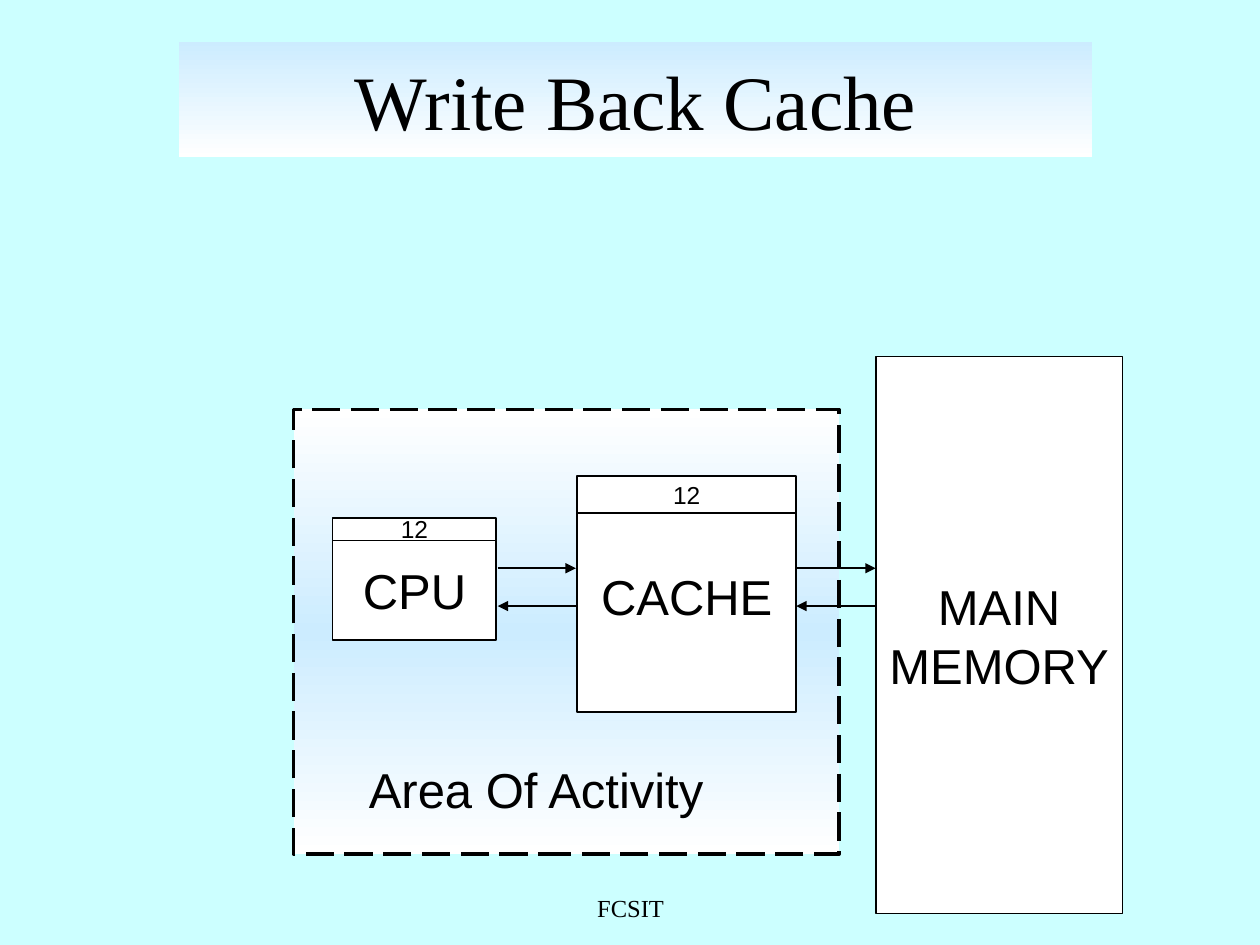
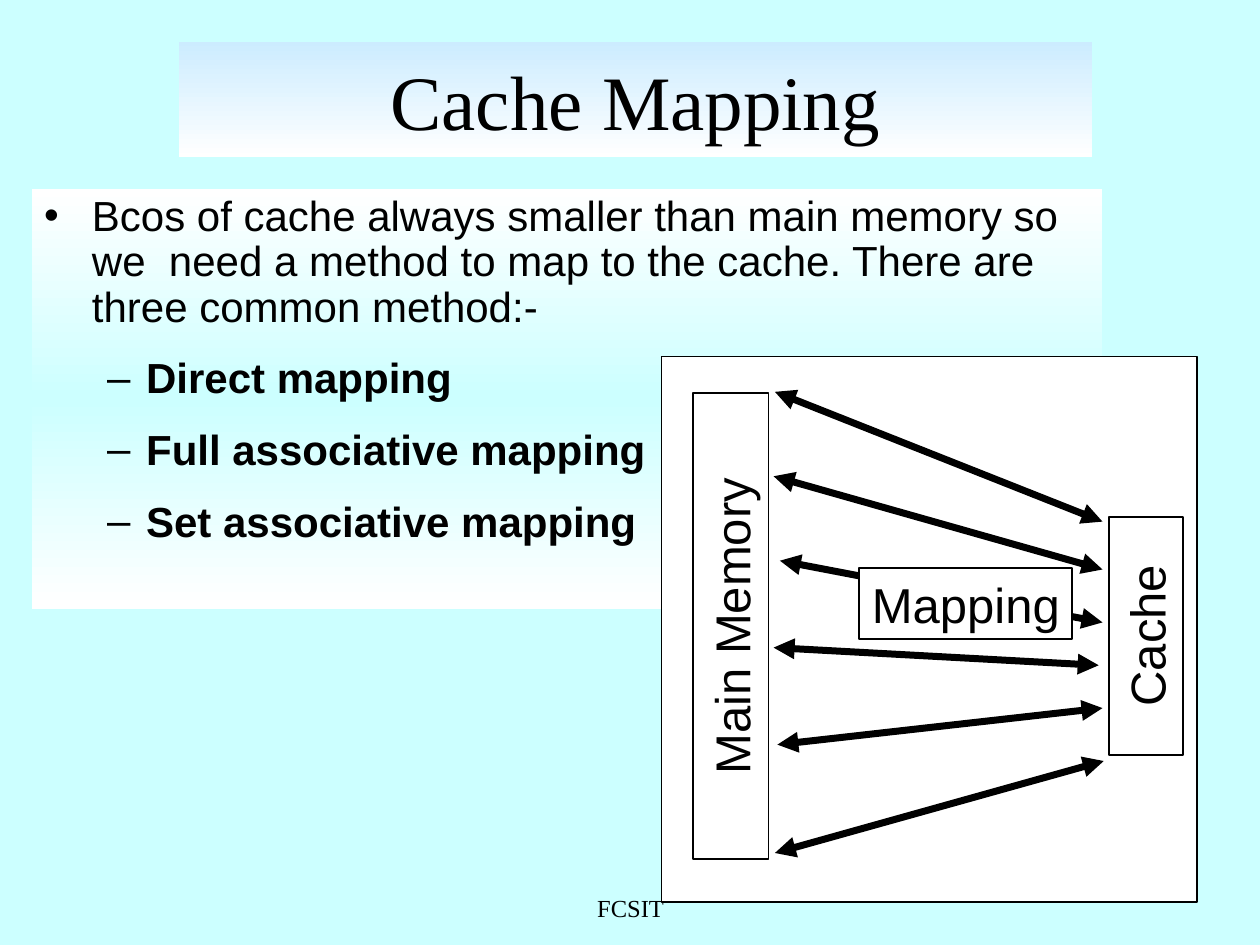
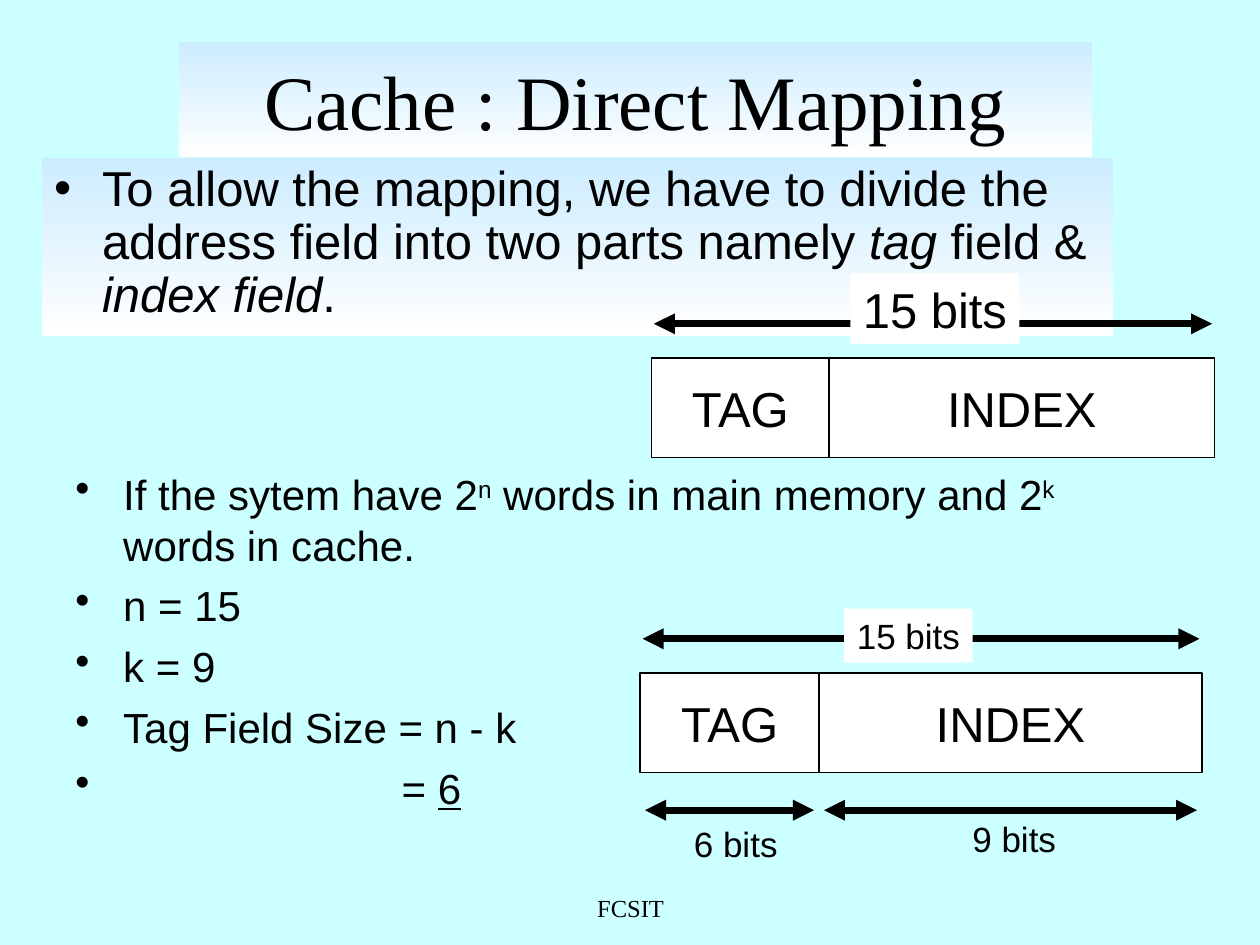
from copy import deepcopy

from lxml.etree import SubElement
from pptx import Presentation
from pptx.dml.color import RGBColor
from pptx.enum.dml import MSO_LINE
from pptx.enum.shapes import MSO_CONNECTOR, MSO_SHAPE
from pptx.enum.text import MSO_ANCHOR, MSO_AUTO_SIZE, PP_ALIGN
from pptx.oxml.ns import qn
from pptx.util import Inches, Pt

BLACK = RGBColor(0x00, 0x00, 0x00)
WHITE = RGBColor(0xFF, 0xFF, 0xFF)
AQUA = RGBColor(0xCC, 0xFF, 0xFF)
SKY = RGBColor(0xCC, 0xEC, 0xFF)

SANS = "Arial"
SERIF = "Times New Roman"
TITLE_AREA = (1.42, 0.33, 7.25, 0.92)
FOOTER_AREA = (3.42, 7.08, 3.17, 0.25)
FOOTER = "FCSIT"
TITLE_ONLY, TITLE_AND_BODY = 5, 1

FRAME = {
    "margin_left": Inches(0.1), "margin_right": Inches(0.1),
    "margin_top": Inches(0.05), "margin_bottom": Inches(0.05),
    "auto_size": MSO_AUTO_SIZE.NONE,
}
LABEL_FRAME = {**FRAME, "word_wrap": False, "vertical_anchor": MSO_ANCHOR.MIDDLE}
LIST_FRAME = {**FRAME, "word_wrap": True, "vertical_anchor": MSO_ANCHOR.TOP}
ITALIC, BOLD, UNDERLINE = {"italic": True}, {"bold": True}, {"underline": True}
SUPERSCRIPT = {"baseline": "30000"}

ACTIVITY_AREA = (2.33, 3.25, 4.33, 3.53)
ACTIVITY_LABEL = ("Area Of Activity", (2.82, 5.98, 2.87, 0.56), 28)
CACHE_UNITS = [
    ("CPU", (2.64, 4.29, 1.3, 0.79), 28),
    ("MAIN\nMEMORY", (6.95, 2.83, 1.96, 4.42), 28),
    ("CACHE", (4.58, 3.81, 1.74, 1.84), 28),
    ("12", (4.58, 3.78, 1.74, 0.29), 14),
    ("12", (2.64, 4.11, 1.3, 0.18), 14),
]
BUS_SPANS = [(3.95, 4.57), (6.32, 6.95)]
READ_Y, WRITE_Y = 4.81, 4.51

DASH = ("–", 1, 0.81, 0.31)
DOT = ("•", 0, 0.38, 0.38)
RESULT = ("•", 0, 2.59, 2.59)

METHODS_AREA = (0.25, 1.5, 8.5, 3.33)
METHODS = [
    (DOT, [("Bcos of cache always smaller than main memory so we  need a method "
            "to map to the cache. There are three common method:-", {})]),
    (DASH, [("Direct mapping", BOLD)]),
    (DASH, [("Full associative mapping", BOLD)]),
    (DASH, [("Set associative mapping", BOLD)]),
]
MAPPING_PANEL = (5.25, 2.83, 4.25, 4.33)
STORES = [
    ("Main Memory", (3.95, 4.67, 3.7, 0.6)),
    ("Cache", (8.15, 4.75, 1.89, 0.59)),
]
MAPPING_LABEL = ("Mapping", (6.82, 4.51, 1.69, 0.56), 28)
MAPPING_LINKS = [
    ((6.15, 3.11), (8.75, 4.14)),
    ((6.14, 3.78), (8.75, 4.52)),
    ((6.19, 4.45), (8.75, 4.94)),
    ((6.14, 5.14), (8.72, 5.28)),
    ((6.17, 5.91), (8.75, 5.62)),
    ((6.15, 6.77), (8.76, 6.04)),
]

DIVISION_AREA = (0.33, 1.25, 8.5, 1.42)
DIVISION = [
    (DOT, [("To allow the mapping, we have to divide the address field into two "
            "parts namely ", {}), ("tag", ITALIC), (" field & ", {}),
           ("index field", ITALIC), (".", {})]),
]
SIZES_AREA = (0.5, 3.67, 8.5, 2.92)
SIZES = [
    (DOT, [("If the sytem have 2", {}), ("n", SUPERSCRIPT),
           (" words in main memory and 2", {}), ("k", SUPERSCRIPT),
           (" words in cache.", {})]),
    (DOT, [("n = 15", {})]),
    (DOT, [("k = 9", {})]),
    (DOT, [("Tag Field Size = n - k", {})]),
    (RESULT, [("= ", {}), ("6", UNDERLINE)]),
]
ADDRESS_HEIGHT = 0.79
ADDRESSES = [
    {"left": 5.17, "top": 2.84, "fields": [("TAG", 1.41), ("INDEX", 3.06)],
     "total": ("15 bits", (6.75, 2.17, 1.34, 0.56), 28), "widths": []},
    {"left": 5.08, "top": 5.34, "fields": [("TAG", 1.42), ("INDEX", 3.04)],
     "total": ("15 bits", (6.7, 4.83, 1.02, 0.43), 20),
     "widths": [("6 bits", (5.41, 6.48, 0.86, 0.43), 20),
                ("9 bits", (7.62, 6.44, 0.86, 0.43), 20)]},
]


def apply(target, values):
    for name, value in values.items():
        setattr(target, name, value)


def inches(lengths):
    return [Inches(length) for length in lengths]


def place(shape, area):
    apply(shape, dict(zip(("left", "top", "width", "height"), inches(area))))


def style_font(font, size, name=SANS):
    apply(font, {"size": Pt(size), "name": name})
    font.color.rgb = BLACK


def fill_gradient(shape, *colors):
    shape.fill.gradient()
    shape.fill.gradient_angle = 270
    stop_list = shape._element.xpath(".//a:gsLst")[0]
    while len(stop_list) < len(colors):
        stop_list.append(deepcopy(stop_list[0]))
    for index, (stop, color) in enumerate(zip(shape.fill.gradient_stops, colors)):
        stop.color.rgb = color
        stop.position = index / (len(colors) - 1)


def write_centred(shape, text, size, font=SANS):
    apply(shape.text_frame, LABEL_FRAME)
    shape.text_frame.text = text
    for paragraph in shape.text_frame.paragraphs:
        paragraph.alignment = PP_ALIGN.CENTER
        style_font(paragraph.runs[0].font, size, font)


def add_box(slide, area, text="", size=28):
    box = slide.shapes.add_shape(MSO_SHAPE.RECTANGLE, *inches(area))
    box.shadow.inherit = False
    box.fill.solid()
    box.fill.fore_color.rgb = WHITE
    box.line.color.rgb = BLACK
    box.line.width = Pt(1)
    if text:
        write_centred(box, text, size)
    return box


def add_label(slide, text, area, size, font=SANS):
    label = slide.shapes.add_textbox(*inches(area))
    write_centred(label, text, size, font)
    return label


def add_arrow(slide, start, end, weight, ends=("tailEnd",)):
    arrow = slide.shapes.add_connector(MSO_CONNECTOR.STRAIGHT, *inches(start + end))
    arrow.line.color.rgb = BLACK
    arrow.line.width = Pt(weight)
    properties = arrow._element.spPr
    for tag in ends:
        SubElement(properties.find(qn("a:ln")), qn(f"a:{tag}"), type="triangle")
    SubElement(properties, qn("a:effectLst"))


def add_double_arrow(slide, start, end):
    add_arrow(slide, start, end, 4, ("headEnd", "tailEnd"))


def write_list(shape, items, size, space_before, line_spacing=1.0):
    frame = shape.text_frame
    apply(frame, LIST_FRAME)
    for index, ((bullet, level, margin, hanging), runs) in enumerate(items):
        paragraph = frame.add_paragraph() if index else frame.paragraphs[0]
        properties = paragraph._p.get_or_add_pPr()
        properties.set("marL", str(Inches(margin)))
        properties.set("indent", str(-Inches(hanging)))
        SubElement(properties, qn("a:buChar"), char=bullet)
        apply(paragraph, {"level": level, "line_spacing": line_spacing,
                          "space_before": Pt(space_before if index else 0)})
        for text, style in runs:
            run = paragraph.add_run()
            run.text = text
            style_font(run.font, size)
            if style is SUPERSCRIPT:
                run._r.get_or_add_rPr().set("baseline", style["baseline"])
            else:
                apply(run.font, style)


def add_slide(deck, layout, title):
    slide = deck.slides.add_slide(deck.slide_layouts[layout])
    heading = slide.shapes.title
    place(heading, TITLE_AREA)
    fill_gradient(heading, SKY, WHITE)
    write_centred(heading, title, 44, SERIF)
    add_label(slide, FOOTER, FOOTER_AREA, 14, SERIF)
    return slide


def add_body(slide, area, colors, items, size, space_before):
    body = slide.placeholders[1]
    place(body, area)
    fill_gradient(body, *colors)
    write_list(body, items, size, space_before, 0.9)


def add_address(slide, address):
    left, top = address["left"], address["top"]
    width = sum(field_width for _, field_width in address["fields"])
    arrow_y = top - 0.27
    add_double_arrow(slide, (left + 0.02, arrow_y), (left + width - 0.02, arrow_y))
    total = add_label(slide, *address["total"])
    total.fill.solid()
    total.fill.fore_color.rgb = WHITE
    for index, (name, field_width) in enumerate(address["fields"]):
        add_box(slide, (left, top, field_width, ADDRESS_HEIGHT), name)
        if address["widths"]:
            width_y = top + 1.09
            add_double_arrow(slide, (left + 0.04, width_y),
                             (left + field_width - 0.04, width_y))
            add_label(slide, *address["widths"][index])
        left += field_width


def build_write_back(deck):
    slide = add_slide(deck, TITLE_ONLY, "Write Back Cache")
    activity = add_box(slide, ACTIVITY_AREA)
    fill_gradient(activity, WHITE, SKY, WHITE)
    apply(activity.line, {"width": Pt(2), "dash_style": MSO_LINE.LONG_DASH})
    for name, area, size in CACHE_UNITS:
        add_box(slide, area, name, size)
    for near, far in BUS_SPANS:
        add_arrow(slide, (near, WRITE_Y), (far, WRITE_Y), 1)
        add_arrow(slide, (far, READ_Y), (near, READ_Y), 1)
    add_label(slide, *ACTIVITY_LABEL)


def build_mapping(deck):
    slide = add_slide(deck, TITLE_AND_BODY, "Cache Mapping")
    add_body(slide, METHODS_AREA, (WHITE, AQUA, WHITE), METHODS, 24, 15)
    add_box(slide, MAPPING_PANEL)
    for name, area in STORES:
        add_box(slide, area, name).rotation = 270
    for memory_end, cache_end in MAPPING_LINKS:
        add_double_arrow(slide, memory_end, cache_end)
    text, area, size = MAPPING_LABEL
    add_box(slide, area, text, size)


def build_direct_mapping(deck):
    slide = add_slide(deck, TITLE_AND_BODY, "Cache : Direct Mapping")
    add_body(slide, DIVISION_AREA, (SKY, WHITE), DIVISION, 28, 0)
    sizes = slide.shapes.add_textbox(*inches(SIZES_AREA))
    write_list(sizes, SIZES, 24, 6)
    for address in ADDRESSES:
        add_address(slide, address)


def main():
    deck = Presentation()
    apply(deck, {"slide_width": Inches(10), "slide_height": Inches(7.5)})
    background = deck.slide_master.background.fill
    background.solid()
    background.fore_color.rgb = AQUA
    build_write_back(deck)
    build_mapping(deck)
    build_direct_mapping(deck)
    deck.save("out.pptx")


if __name__ == "__main__":
    main()
